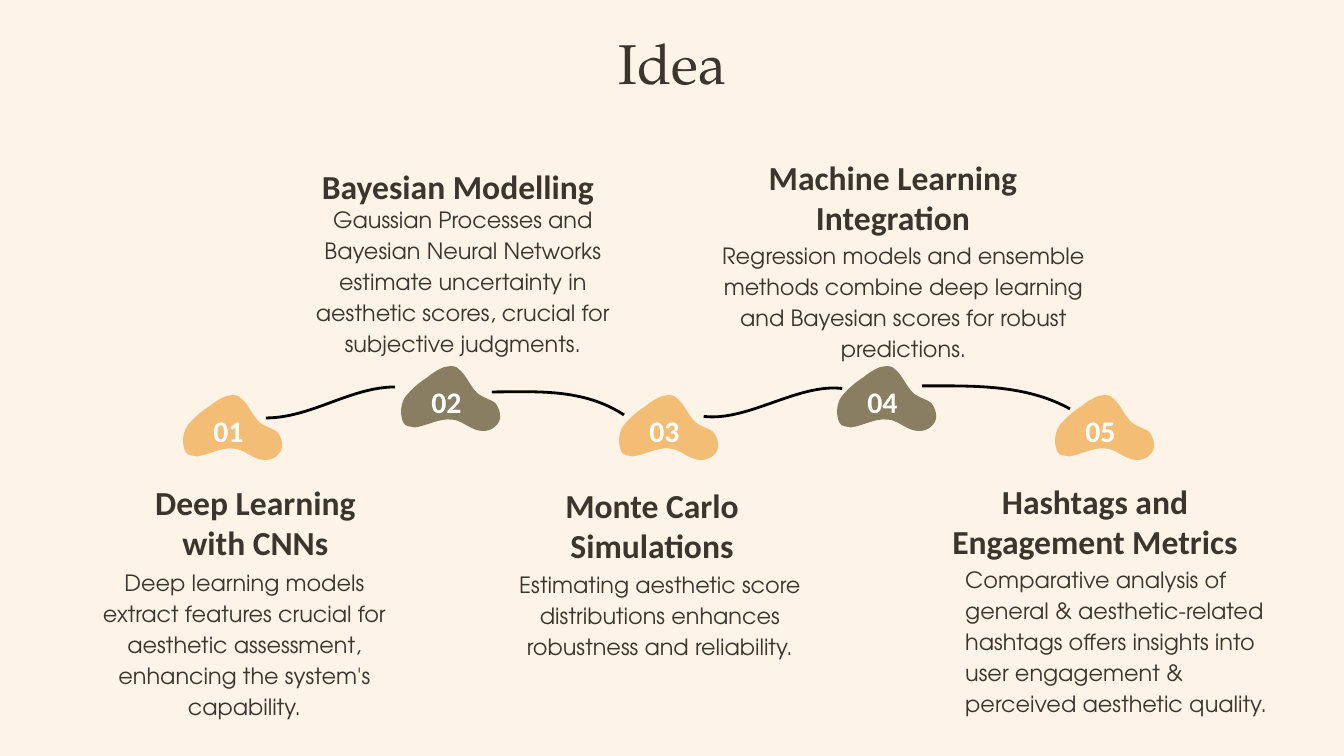
from pptx import Presentation
from pptx.dml.color import RGBColor
from pptx.enum.text import MSO_ANCHOR as Anchor, MSO_AUTO_SIZE as AutoSize, PP_ALIGN as Align
from pptx.oxml.ns import qn
from pptx.util import Pt

PX = 914400 / 134.4
INSET = round(13.44 * PX)

THEME = {
    "background": "FDF3E6", "ink": "3B352E", "badge": "FFFFFF", "link": "000000",
    "blobs": ("F4BD76", "897D62"),
    # font, size, bold, colour key, line spacing
    "title": ("TeX Gyre Pagella", 30, False, "ink", 1.0),
    "heading": ("Calibri", 18, True, "ink", 1.0),
    "body": ("TeX Gyre Adventor", 12, False, "ink", 1.15),
    "number": ("Calibri", 16, True, "badge", 1.0),
}

# Heading, its box, description, its box, description alignment
STEPS = [
    ("Deep Learning with CNNs", (134, 468, 243, 101),
     "Deep learning models extract features crucial for aesthetic assessment, "
     "enhancing the system's capability.", (77, 552, 335, 141), Align.CENTER),
    ("Bayesian Modelling", (294, 152, 328, 62),
     "Gaussian Processes and Bayesian Neural Networks estimate uncertainty in "
     "aesthetic scores, crucial for subjective judgments.", (274, 189, 378, 164), Align.CENTER),
    ("Monte Carlo Simulations", (488, 471, 328, 99),
     "Estimating aesthetic score distributions enhances robustness and reliability.",
     (496, 554, 328, 137), Align.CENTER),
    ("Machine Learning Integration", (729, 143, 328, 117),
     "Regression models and ensemble methods combine deep learning and Bayesian "
     "scores for robust predictions.", (696, 225, 415, 109), Align.CENTER),
    ("Hashtags and Engagement Metrics", (931, 467, 328, 99),
     "Comparative analysis of general & aesthetic-related hashtags offers insights "
     "into user engagement & perceived aesthetic quality.", (932, 549, 359, 177), Align.LEFT),
]
CENTERS = [(233 + 218 * index, (440, 411)[index % 2]) for index in range(len(STEPS))]

# Bezier points around the blob's centre: a start, then three points per curve
BLOB = [
    (-19, -38), (-22, -39), (-26, -37), (-29, -34), (-31, -32), (-33, -30), (-34, -27),
    (-36, -23), (-38, -18), (-39, -13), (-42, -5), (-45, 6), (-45, 17),
    (-44, 27), (-37, 35), (-31, 38), (-29, 39), (-27, 39), (-25, 38),
    (-23, 37), (-21, 36), (-19, 35), (-10, 26), (-5, 13), (5, 7),
    (12, 2), (19, 3), (28, 1), (37, -1), (45, -7), (45, -18),
    (45, -26), (36, -32), (30, -33), (25, -33), (18, -30), (12, -30),
    (2, -30), (-9, -38), (-19, -38),
]
LINKS = [
    ([(266, 418), (311, 418), (351, 387), (395, 387)], 0),
    ([(492, 392), (536, 392), (583, 388), (624, 415)], 0),
    ([(706, 425), (750, 425), (796, 380), (840, 380)], 7.2),
    ([(922, 386), (972, 386), (1025, 384), (1070, 409)], 0),
]

presentation = Presentation()
presentation.slide_width, presentation.slide_height = round(1344 * PX), round(756 * PX)
slide = presentation.slides.add_slide(presentation.slide_layouts[5])
slide.background.fill.solid()
slide.background.fill.fore_color.rgb = RGBColor.from_string(THEME["background"])


def write(shape, box, text, style, align=Align.CENTER):
    """Place a text shape, fill it in a theme style and return its paragraph."""
    shape.left, shape.top, shape.width, shape.height = (round(length * PX) for length in box)
    frame = shape.text_frame
    frame.word_wrap, frame.auto_size, frame.vertical_anchor = True, AutoSize.NONE, Anchor.TOP
    frame.margin_left = frame.margin_right = frame.margin_top = frame.margin_bottom = INSET
    paragraph = frame.paragraphs[0]
    paragraph.text, paragraph.alignment = text, align
    font = paragraph.font
    font.name, size, font.bold, colour, paragraph.line_spacing = THEME[style]
    font.size = Pt(size)
    font.color.rgb = RGBColor.from_string(THEME[colour])
    return paragraph


def draw_curve(points, rotation, center=(0, 0), closed=False):
    """Draw a freeform whose points form joined cubic Bezier curves."""
    start, *rest = [(round((center[0] + x) * PX), round((center[1] + y) * PX)) for x, y in points]
    builder = slide.shapes.build_freeform(*start)
    builder.add_line_segments(rest, close=closed)
    shape = builder.convert_to_shape()
    segments = list(shape._element.iter(qn("a:lnTo")))
    for first in range(0, len(segments), 3):
        curve = segments[first].makeelement(qn("a:cubicBezTo"))
        segments[first].addprevious(curve)
        for segment in segments[first:first + 3]:
            curve.append(segment[0])
            segment.getparent().remove(segment)
    shape.rotation = rotation
    shape.shadow.inherit = False
    return shape


write(slide.shapes.title, (106, 29, 1133, 70), "Idea", "title")
slide.shapes.title.text_frame.margin_top = 0

for heading, heading_box, body, body_box, align in STEPS:
    write(slide.shapes.add_textbox(0, 0, 0, 0), heading_box, heading, "heading")
    description = write(slide.shapes.add_textbox(0, 0, 0, 0), body_box, body, "body", align)
    if align == Align.LEFT:
        properties = description._p.get_or_add_pPr()
        properties.set("marL", str(round(20 * PX)))
        properties.set("indent", "0")
    else:
        description.space_after = Pt(16)

for index, center in enumerate(CENTERS):
    blob = draw_curve(BLOB, 37, center, closed=True)
    blob.fill.solid()
    blob.fill.fore_color.rgb = RGBColor.from_string(THEME["blobs"][index % 2])
    blob.line.fill.background()

for points, rotation in LINKS:
    link = draw_curve(points, rotation)
    link.fill.background()
    link.line.color.rgb = RGBColor.from_string(THEME["link"])
    link.line.width = Pt(1.5)

for number, (center_x, center_y) in enumerate(CENTERS, start=1):
    write(slide.shapes.add_textbox(0, 0, 0, 0), (center_x - 44, center_y - 41, 79, 54),
          f"{number:02}", "number")

presentation.save("out.pptx")
